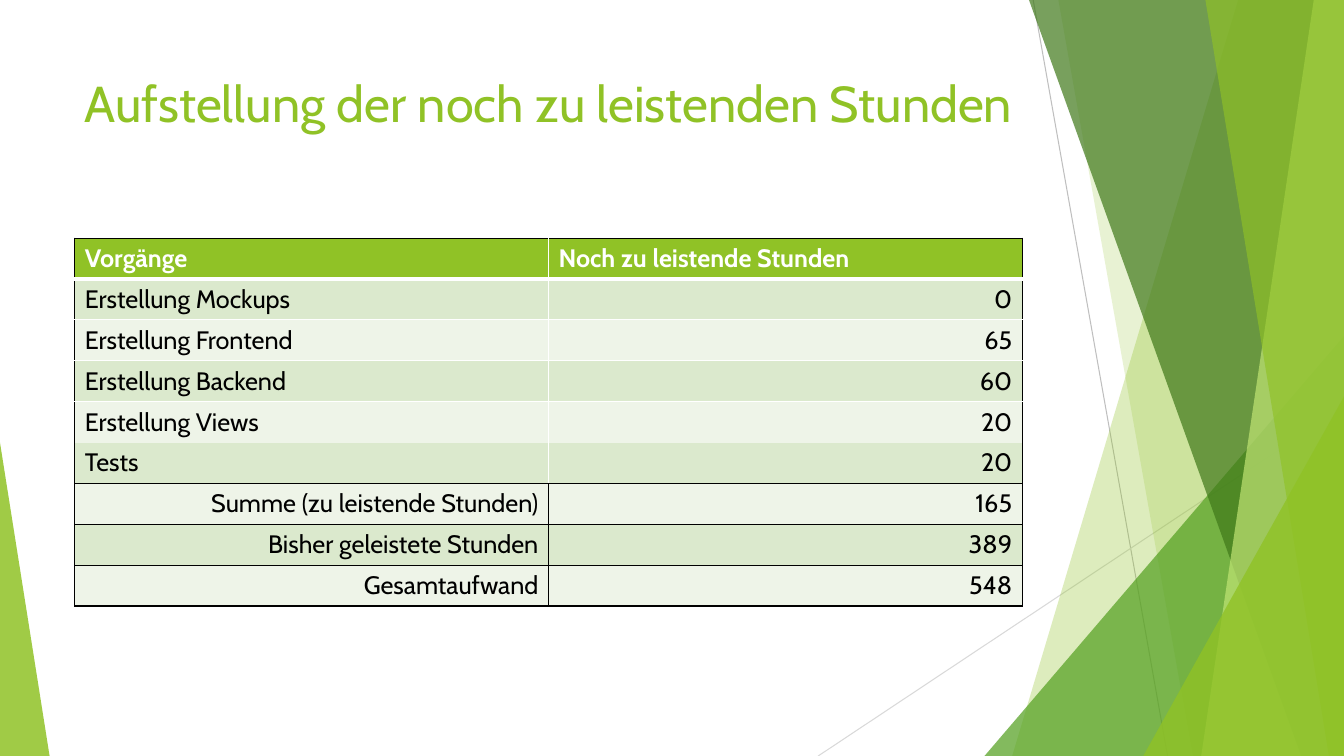
from lxml.etree import SubElement
from pptx import Presentation
from pptx.dml.color import RGBColor
from pptx.enum.shapes import MSO_CONNECTOR, MSO_SHAPE
from pptx.enum.text import MSO_ANCHOR, MSO_AUTO_SIZE, PP_ALIGN
from pptx.oxml.ns import qn
from pptx.util import Inches, Pt

LIME = RGBColor(0x90, 0xC2, 0x26)
GREEN = RGBColor(0x54, 0xA0, 0x21)
FOREST = RGBColor(0x3F, 0x78, 0x19)
PALE_LIME = RGBColor(0xC0, 0xE4, 0x74)
ROW_DARK = RGBColor(0xDB, 0xE9, 0xCD)
ROW_LIGHT = RGBColor(0xEE, 0xF4, 0xE8)
GREY = RGBColor(0xBF, 0xBF, 0xBF)
LIGHT_GREY = RGBColor(0xD9, 0xD9, 0xD9)
BLACK = RGBColor(0, 0, 0)
WHITE = RGBColor(0xFF, 0xFF, 0xFF)

COLUMNS, ROWS = 160, 90

TITLE = "Aufstellung der noch zu leistenden Stunden"
HOURS = [
    ("Vorgänge", "Noch zu leistende Stunden"),
    ("Erstellung Mockups", "0"),
    ("Erstellung Frontend", "65"),
    ("Erstellung Backend", "60"),
    ("Erstellung Views", "20"),
    ("Tests", "20"),
    ("Summe (zu leistende Stunden)", "165"),
    ("Bisher geleistete Stunden", "389"),
    ("Gesamtaufwand", "548"),
]
FIRST_TOTAL = 6
THIN_BLACK, THIN_WHITE = (BLACK, 1), (WHITE, 1)
ROW_RULES = [THIN_BLACK, (WHITE, 3)] + [THIN_WHITE] * 3 + [None] + [THIN_BLACK] * 4


class HoursSlide:
    font_name = "Cabin"

    def __init__(self, presentation):
        self.width = presentation.slide_width
        self.height = presentation.slide_height
        self.slide = presentation.slides.add_slide(presentation.slide_layouts[5])
        self.shapes = self.slide.shapes

    def x(self, columns):
        return round(self.width * columns / COLUMNS)

    def y(self, rows):
        return round(self.height * rows / ROWS)

    def box(self, left, top, width, height):
        return self.x(left), self.y(top), self.x(width), self.y(height)

    def font(self, paragraph, size, color, bold=False):
        paragraph.font.name = self.font_name
        paragraph.font.size = Pt(size)
        paragraph.font.color.rgb = color
        paragraph.font.bold = bold

    def line(self, start, end, color):
        connector = self.shapes.add_connector(
            MSO_CONNECTOR.STRAIGHT,
            self.x(start[0]), self.y(start[1]), self.x(end[0]), self.y(end[1]))
        connector.line.color.rgb = color
        connector.line.width = Pt(0.75)
        SubElement(connector.element.spPr, qn("a:effectLst"))

    def paint(self, shape, color, opacity):
        shape.shadow.inherit = False
        shape.fill.solid()
        shape.fill.fore_color.rgb = color
        shape.line.fill.background()
        color_element = shape.element.spPr.find(".//" + qn("a:srgbClr"))
        SubElement(color_element, qn("a:alpha"), val=str(opacity * 1000))

    def band(self, top_left, bottom_left, color, opacity):
        builder = self.shapes.build_freeform(self.x(top_left), 0)
        builder.add_line_segments([
            (self.width, 0),
            (self.width, self.height),
            (self.x(bottom_left), self.height),
        ], close=True)
        self.paint(builder.convert_to_shape(), color, opacity)

    def triangle(self, left, top, right, apex, color, opacity):
        shape = self.shapes.add_shape(
            MSO_SHAPE.ISOSCELES_TRIANGLE,
            *self.box(left, top, right - left, ROWS - top))
        shape.adjustments[0] = apex
        self.paint(shape, color, opacity)

    def title(self, text, left, top, width, height):
        title = self.shapes.title
        title.left, title.top, title.width, title.height = self.box(
            left, top, width, height)
        title.text = text
        frame = title.text_frame
        frame.vertical_anchor = MSO_ANCHOR.TOP
        frame.auto_size = MSO_AUTO_SIZE.NONE
        paragraph = frame.paragraphs[0]
        paragraph.alignment = PP_ALIGN.LEFT
        self.font(paragraph, 36, LIME)
        self.shapes.element.append(title.element)

    def border(self, cell, side, rule):
        properties = cell._tc.get_or_add_tcPr()
        if rule is None:
            SubElement(SubElement(properties, qn("a:" + side), w="0"), qn("a:noFill"))
            return
        color, points = rule
        line = SubElement(properties, qn("a:" + side), w=str(Pt(points)))
        fill = SubElement(line, qn("a:solidFill"))
        SubElement(fill, qn("a:srgbClr"), val=str(color))

    def table(self, rows, left, top, width, height):
        table = self.shapes.add_table(
            len(rows), len(rows[0]), *self.box(left, top, width, height)).table
        for row, texts in enumerate(rows):
            table.rows[row].height = self.y(height / len(rows))
            header, total = row == 0, row >= FIRST_TOTAL
            inner = THIN_BLACK if total else THIN_WHITE
            column_rules = [THIN_BLACK, inner, THIN_BLACK]
            band_color = ROW_DARK if row % 2 else ROW_LIGHT
            for column, text in enumerate(texts):
                cell = table.cell(row, column)
                cell.text = text
                paragraph = cell.text_frame.paragraphs[0]
                right = total or (column == 1 and not header)
                paragraph.alignment = PP_ALIGN.RIGHT if right else PP_ALIGN.LEFT
                self.font(paragraph, 18, WHITE if header else BLACK, header)
                self.border(cell, "lnL", column_rules[column])
                self.border(cell, "lnR", column_rules[column + 1])
                self.border(cell, "lnT", ROW_RULES[row])
                self.border(cell, "lnB", ROW_RULES[row + 1])
                cell.fill.solid()
                cell.fill.fore_color.rgb = LIME if header else band_color


def main():
    presentation = Presentation()
    presentation.slide_width = Inches(13.33)
    presentation.slide_height = Inches(7.5)
    page = HoursSlide(presentation)

    page.line((123, 0), (139, ROWS), GREY)
    page.line((COLUMNS, 48.4), (97.4, ROWS), LIGHT_GREY)
    page.band(147.4, 120.5, LIME, 30)
    page.band(126, 142, LIME, 20)
    page.triangle(117.2, 40, COLUMNS, 1, GREEN, 72)
    page.band(122.5, 154.9, FOREST, 70)
    page.band(156.4, 143, PALE_LIME, 70)
    page.band(143.5, 158.2, LIME, 65)
    page.triangle(136.1, 47.2, COLUMNS, 1, LIME, 80)
    page.triangle(0, 52.7, 5.9, 0, LIME, 85)

    page.title(TITLE, 8.9, 8, 116.5, 17.3)
    page.table(HOURS, 8.9, 28.35, 112.8, 43.8)
    presentation.save("out.pptx")


if __name__ == "__main__":
    main()
